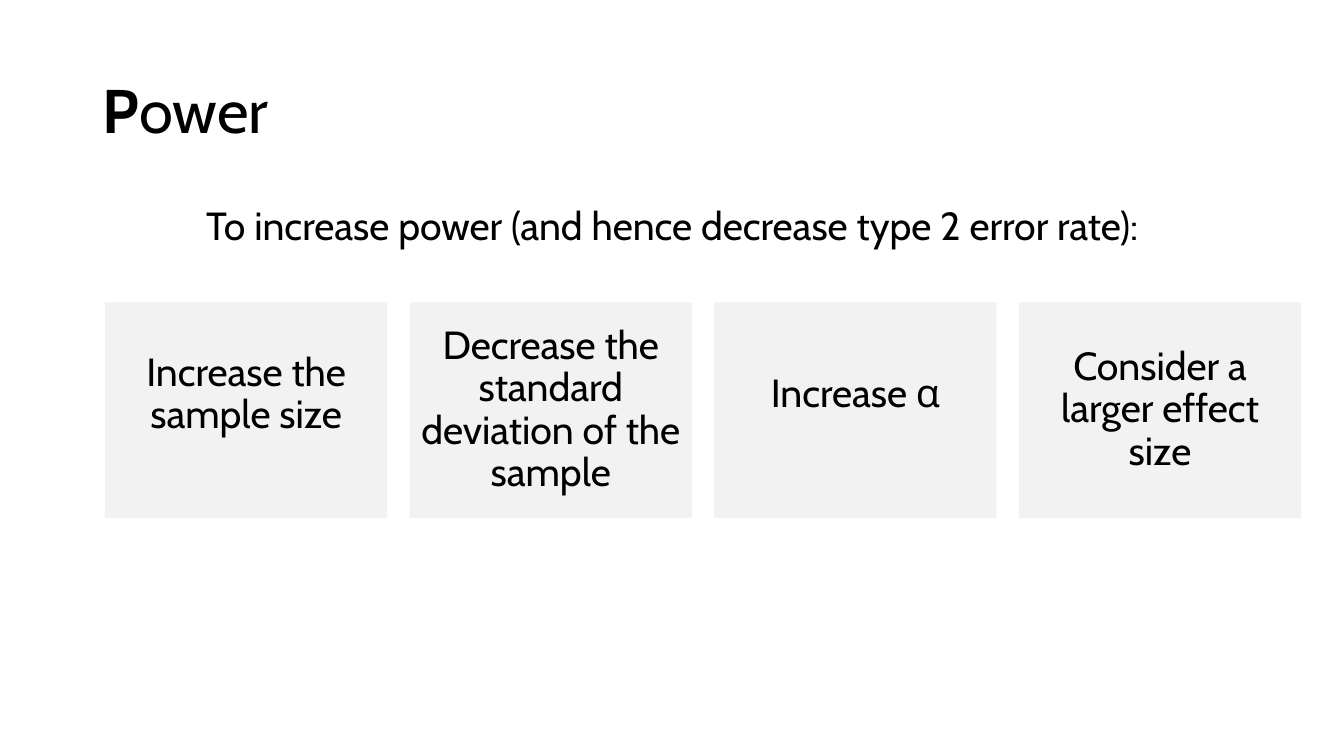
from lxml.etree import SubElement
from pptx import Presentation
from pptx.dml.color import RGBColor
from pptx.enum.shapes import MSO_SHAPE
from pptx.enum.text import MSO_ANCHOR, MSO_AUTO_SIZE, PP_ALIGN
from pptx.oxml.ns import qn
from pptx.util import Pt

BLACK = RGBColor(0, 0, 0)
LIGHT_GREY = RGBColor(0xF2, 0xF2, 0xF2)
FONT = "Cabin"
INSET = 3.6
RAISE = 22  # extra bottom inset that lifts the text of a short card

CARDS = [
    ("Increase the sample size", RAISE),
    ("Decrease the standard deviation of the sample", 0),
    ("Increase α", RAISE),
    ("Consider a larger effect size", 0),
]


def place(sp, left, top, width, height):
    sp.left, sp.top, sp.width, sp.height = map(Pt, (left, top, width, height))


def write(sp, *runs, size=28, align=PP_ALIGN.CENTER, anchor=MSO_ANCHOR.MIDDLE,
          before=10, bottom=INSET):
    """Fill a shape with one paragraph of (text, bold) runs."""
    tf = sp.text_frame
    tf.word_wrap = True
    tf.auto_size = MSO_AUTO_SIZE.NONE
    tf.vertical_anchor = anchor
    tf.margin_bottom = Pt(bottom)
    p = tf.paragraphs[0]
    p.alignment = align
    p.line_spacing = 0.9
    p.space_before = Pt(before)
    for text, bold in runs:
        r = p.add_run()
        r.text = text
        r.font.name = FONT
        r.font.size = Pt(size)
        r.font.bold = bold
        r.font.color.rgb = BLACK
    return p


def add_title(s, left, top, width, height):
    place(s.shapes.title, left, top, width, height)
    write(s.shapes.title, ("P", True), ("ower", False),
          size=44, align=PP_ALIGN.LEFT, before=0)


def add_lead(s, left, top, width, height):
    body = s.placeholders[1]
    place(body, left, top, width, height)
    p = write(body, ("To increase power (and hence decrease type 2 error rate):", False),
              anchor=MSO_ANCHOR.TOP)
    pPr = p._p.get_or_add_pPr()
    pPr.set("marL", "0")
    pPr.set("indent", "0")
    SubElement(pPr, qn("a:buNone"))


def add_cards(s, left, top, width, height, gap=16):
    card_width = (width - gap * (len(CARDS) - 1)) / len(CARDS)
    for i, (text, lift) in enumerate(CARDS):
        x = left + i * (card_width + gap)
        card = s.shapes.add_shape(MSO_SHAPE.RECTANGLE, Pt(x), Pt(top),
                                  Pt(card_width), Pt(height))
        card.shadow.inherit = False
        card.fill.solid()
        card.fill.fore_color.rgb = LIGHT_GREY
        card.line.fill.background()
        write(card, (text, False), bottom=INSET + lift)


def main():
    prs = Presentation()
    prs.slide_width, prs.slide_height = Pt(960), Pt(540)
    s = prs.slides.add_slide(prs.slide_layouts[1])
    add_title(s, 66, 28.75, 828, 104.4)
    add_lead(s, 66, 143.75, 828, 368.6)
    add_cards(s, 75, 216, 854.4, 154)
    prs.save("out.pptx")


if __name__ == "__main__":
    main()
